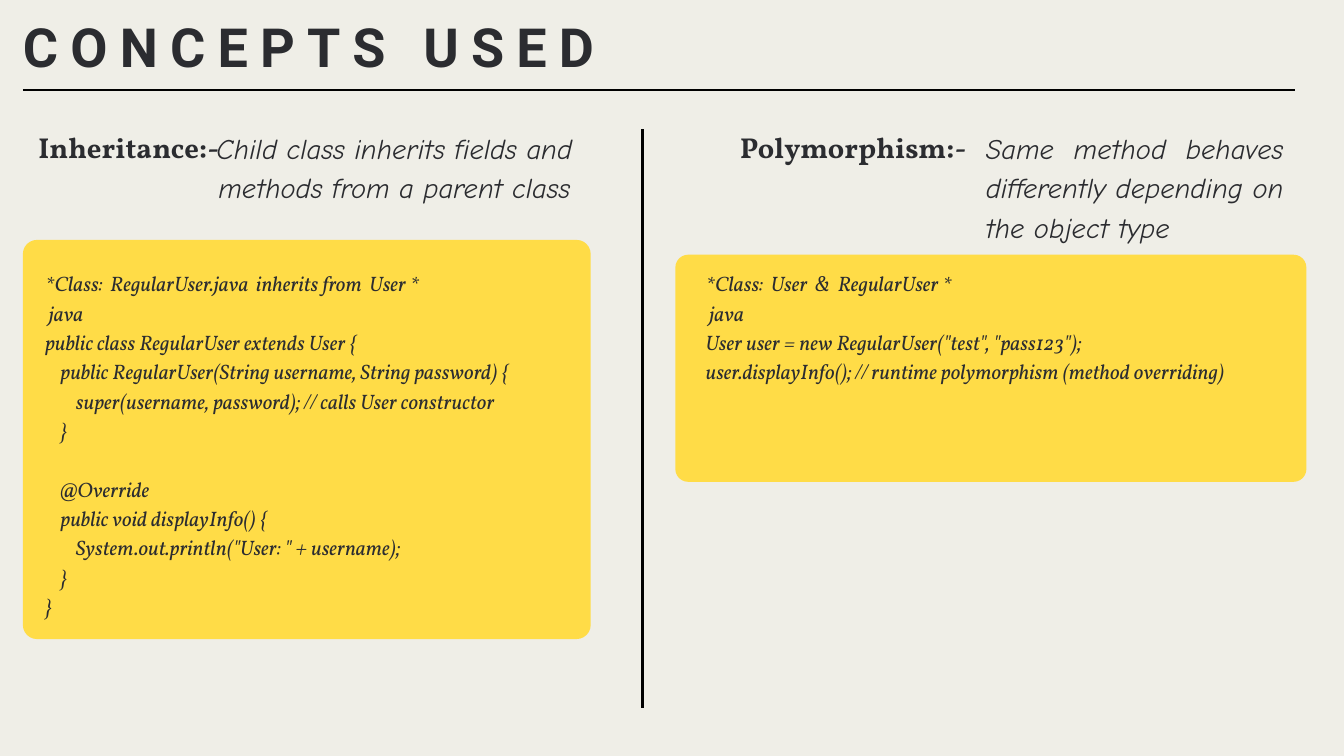
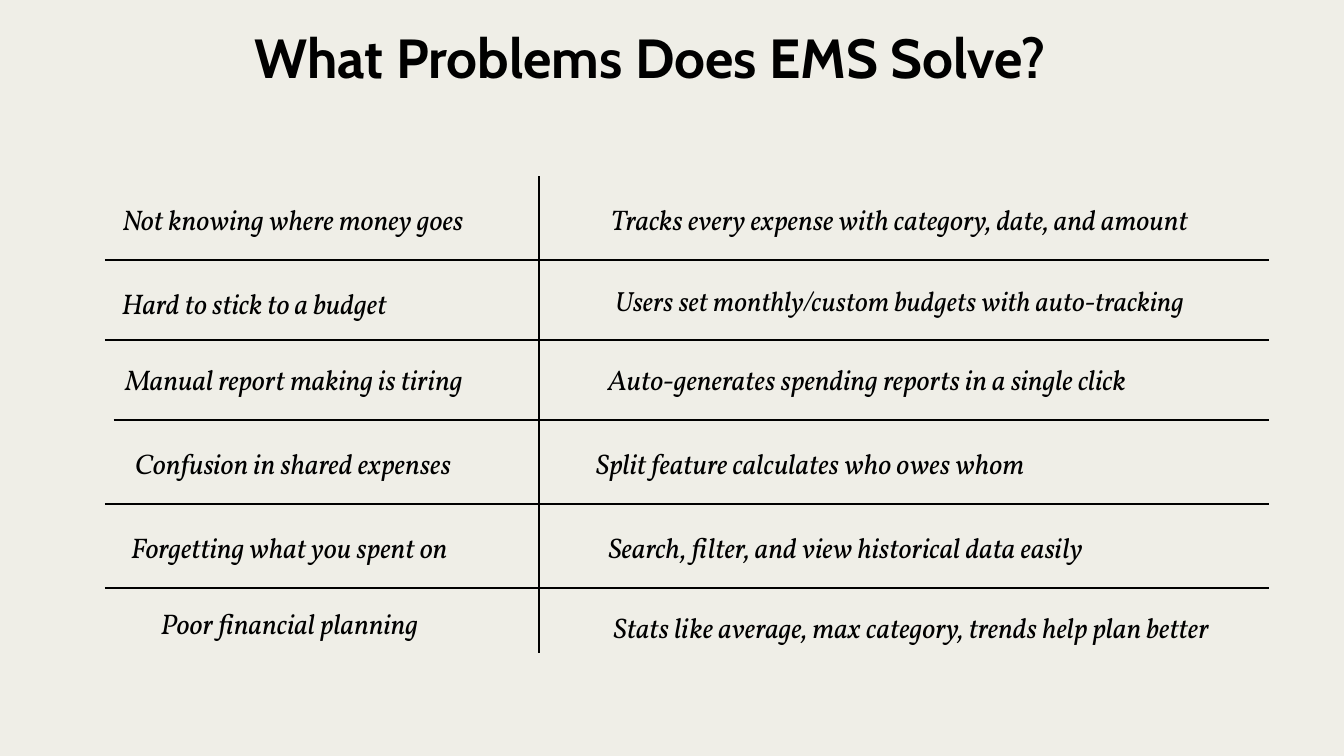
from lxml import etree
from pptx import Presentation
from pptx.dml.color import RGBColor
from pptx.enum import shapes, text
from pptx.oxml import ns
from pptx.util import Inches, Pt

PAPER = RGBColor(0xEF, 0xEE, 0xE7)
INK = RGBColor(0x2B, 0x2C, 0x30)
BLACK = RGBColor(0, 0, 0)
YELLOW = RGBColor(0xFF, 0xDC, 0x47)

LEFT, MID, JUST = (text.PP_ALIGN.LEFT, text.PP_ALIGN.CENTER,
                   text.PP_ALIGN.JUSTIFY)


def write(slide, box, words, size, face, color, align=MID, bold=False,
          italic=False, gap=0.1, shape=None):
    """Set text in the given shape, or in a new text box; gap is in points."""
    left, top, width, height = [Inches(n) for n in box]
    if shape is None:
        shape = slide.shapes.add_textbox(left, top, width, height)
    else:
        shape.left, shape.top, shape.width, shape.height = left, top, width, height
    frame = shape.text_frame
    frame.word_wrap = True
    frame.auto_size = text.MSO_AUTO_SIZE.NONE
    frame.vertical_anchor = text.MSO_ANCHOR.TOP
    frame.margin_left = frame.margin_right = 0
    frame.margin_top = frame.margin_bottom = 0
    frame.text = words
    for para in frame.paragraphs:
        para.alignment = align
        para.line_spacing = Pt(round(size * 1.4, 1))
        for run in para.runs:
            font = run.font
            font.size, font.name = Pt(size), face
            font.bold, font.italic = bold, italic
            font.color.rgb = color
            run._r.get_or_add_rPr().set("spc", str(round(gap * 100)))


def rule(slide, x1, y1, x2, y2):
    """Draw a straight black line."""
    line = slide.shapes.add_connector(
        shapes.MSO_CONNECTOR.STRAIGHT,
        Inches(x1), Inches(y1), Inches(x2), Inches(y2))
    line.line.color.rgb = BLACK
    line.line.width = Pt(3)
    etree.SubElement(line._element.spPr, ns.qn("a:effectLst"))


prs = Presentation()
prs.slide_width, prs.slide_height = Inches(20), Inches(11.25)
back = prs.slide_master.background.fill
back.solid()
back.fore_color.rgb = PAPER
plain = prs.slide_layouts[5]

# Concepts used
slide = prs.slides.add_slide(plain)
write(slide, (0.34, 0.04, 18.07, 1.08), "CONCEPTS USED", 57.8, "Roboto", INK,
      LEFT, bold=True, gap=13.1, shape=slide.shapes.title)
rule(slide, 0.34, 1.34, 19.27, 1.34)
rule(slide, 9.56, 1.92, 9.56, 10.53)

CHILD = """*Class:  RegularUser.java  inherits from  User *
 java
public class RegularUser extends User {
    public RegularUser(String username, String password) {
        super(username, password); // calls User constructor
    }

    @Override
    public void displayInfo() {
        System.out.println("User: " + username);
    }
}"""
CALL = """*Class:  User  &  RegularUser *
 java
User user = new RegularUser("test", "pass123");
user.displayInfo(); // runtime polymorphism (method overriding)"""

# term, its box, meaning, its box, alignment, card, corner, code, its box, alignment
concepts = [
    ("Inheritance:-", (0.34, 1.85, 3.16, 0.58),
     "Child class inherits fields and methods from a parent class",
     (3.14, 1.86, 5.47, 1.73), MID,
     (0.34, 3.57, 8.45, 5.94), 0.21, CHILD, (0.67, 3.97, 7.8, 5.53), JUST),
    ("Polymorphism:-", (10.91, 1.85, 3.58, 0.58),
     "Same method behaves differently depending on the object type",
     (14.67, 1.86, 4.44, 2.31), JUST,
     (10.05, 3.79, 9.39, 3.38), 0.19, CALL, (10.5, 3.97, 8.77, 2.97), LEFT),
]
for (term, spot, sense, place, align,
     area, curve, code, inner, flow) in concepts:
    card = slide.shapes.add_shape(shapes.MSO_SHAPE.ROUNDED_RECTANGLE,
                                  *[Inches(n) for n in area])
    card.adjustments[0] = curve / area[3]
    card.shadow.inherit = False
    card.fill.solid()
    card.fill.fore_color.rgb = YELLOW
    card.line.fill.background()
    write(slide, spot, term, 30.8, "Vollkorn", INK, bold=True)
    write(slide, place, sense, 30.4, "Comic Neue", INK, align, italic=True)
    write(slide, inner, code, 22.4, "Vollkorn", INK, flow, italic=True)

# Problems and answers
slide = prs.slides.add_slide(plain)
write(slide, (0.13, 0.19, 19.1, 1.1), "What Problems Does EMS Solve?", 59,
      "Cabin", BLACK, bold=True, gap=0, shape=slide.shapes.title)

# left, top, width, text, size
cells = [
    (1.56, 2.92, 5.61, "Not knowing where money goes", 30.4),
    (1.56, 4.17, 4.45, "Hard to stick to a budget", 30.4),
    (1.56, 5.3, 5.64, "Manual report making is tiring", 30.4),
    (1.69, 6.55, 5.35, "Confusion in shared expenses", 30.4),
    (1.69, 7.8, 5.24, "Forgetting what you spent on", 30.4),
    (1.69, 8.94, 5.24, "Poor financial planning", 30.4),
    (8.51, 2.92, 9.77, "Tracks every expense with category, date, and amount", 30.4),
    (8.51, 4.14, 9.77, "Users set monthly/custom budgets with auto-tracking", 29.7),
    (8.51, 5.3, 8.8, "Auto-generates spending reports in a single click", 30.4),
    (8.51, 6.55, 7.11, "Split feature calculates who owes whom", 30.4),
    (8.56, 7.8, 8.07, "Search, filter, and view historical data easily", 30.4),
    (8.51, 9, 10.13, "Stats like average, max category, trends help plan better", 30.4),
]
for left, top, width, words, size in cells:
    write(slide, (left, top, width, 0.57), words, size, "Vollkorn", BLACK,
          italic=True)

for start, y in [(1.56, 3.87), (1.56, 5.06), (1.69, 6.25),
                 (1.56, 7.5), (1.56, 8.75)]:
    rule(slide, start, y, 18.88, y)
rule(slide, 8.02, 2.62, 8.02, 9.72)

prs.save("out.pptx")
